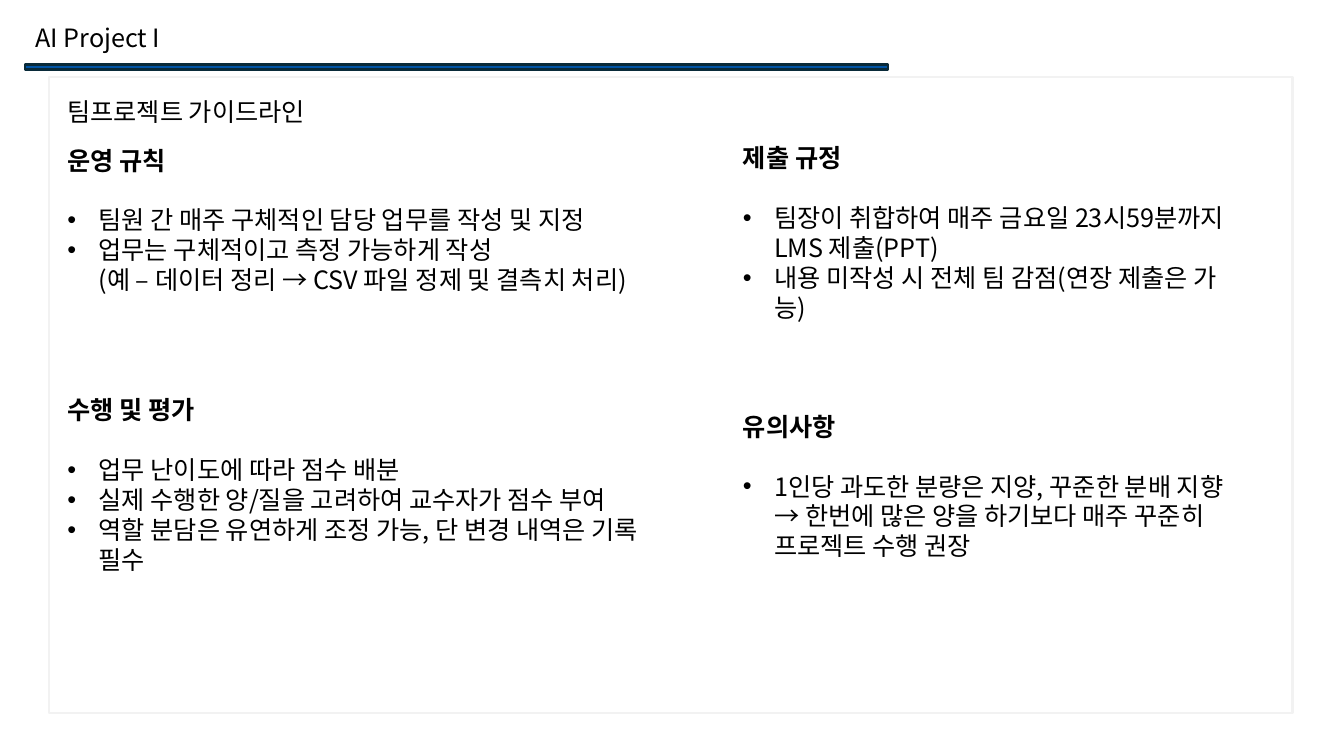
from dataclasses import dataclass

from pptx import Presentation
from pptx.dml.color import RGBColor
from pptx.enum import shapes, text
from pptx.oxml import xmlchemy
from pptx.util import Inches, Pt


@dataclass(frozen=True)
class Theme:
    font: str = "Noto Sans CJK KR"
    size: float = 18
    line_pitch: float = 21.4
    outline: float = 1.5
    ink: str = "000000"
    frame: str = "F2F2F2"
    bar: str = "0054A6"
    bar_edge: str = "092A39"


THEME = Theme()
INDENT = Inches(0.31)
LEFT, RIGHT = (0.57, 5.87), (7.27, 5.15)

SECTIONS = [
    (LEFT, 1.39, 2.22, "운영 규칙", [
        "팀원 간 매주 구체적인 담당 업무를 작성 및 지정",
        "업무는 구체적이고 측정 가능하게 작성\n(예 – 데이터 정리 → CSV 파일 정제 및 결측치 처리)",
    ]),
    (LEFT, 3.87, 2.22, "수행 및 평가", [
        "업무 난이도에 따라 점수 배분",
        "실제 수행한 양/질을 고려하여 교수자가 점수 부여",
        "역할 분담은 유연하게 조정 가능, 단 변경 내역은 기록 필수",
    ]),
    (RIGHT, 1.37, 1.92, "제출 규정", [
        "팀장이 취합하여 매주 금요일 23시59분까지 LMS 제출(PPT)",
        "내용 미작성 시 전체 팀 감점(연장 제출은 가능)",
    ]),
    (RIGHT, 4.03, 1.92, "유의사항", [
        "1인당 과도한 분량은 지양, 꾸준한 분배 지향 → 한번에 많은 양을 하기보다 매주 꾸준히 프로젝트 수행 권장",
    ]),
]


def color(value):
    return RGBColor.from_string(value)


def add_rect(page, at, edge, fill=None):
    rect = page.shapes.add_shape(shapes.MSO_SHAPE.RECTANGLE, *map(Inches, at))
    rect.shadow.inherit = False
    if fill:
        rect.fill.solid()
        rect.fill.fore_color.rgb = color(fill)
    else:
        rect.fill.background()
    rect.line.color.rgb = color(edge)
    rect.line.width = Pt(THEME.outline)


def prepare(box, at):
    box.left, box.top, box.width, box.height = map(Inches, at)
    frame = box.text_frame
    frame.word_wrap = True
    frame.auto_size = text.MSO_AUTO_SIZE.SHAPE_TO_FIT_TEXT
    frame.vertical_anchor = text.MSO_ANCHOR.TOP
    frame.margin_left = frame.margin_right = Inches(0.1)
    frame.margin_top = frame.margin_bottom = Inches(0.05)
    return frame


def add_box(page, at):
    return prepare(page.shapes.add_textbox(*map(Inches, at)), at)


def write(para, words, bold=False):
    para.alignment = text.PP_ALIGN.LEFT
    para.line_spacing = Pt(THEME.line_pitch)
    para.space_before = para.space_after = Pt(0)
    for index, line in enumerate(words.split("\n")):
        if index:
            para.add_line_break()
        span = para.add_run()
        span.text = line
        span.font.name = THEME.font
        span.font.size = Pt(THEME.size)
        span.font.bold = bold
        span.font.color.rgb = color(THEME.ink)
        east_asian = xmlchemy.OxmlElement("a:ea")
        east_asian.set("typeface", THEME.font)
        span.font._element.find(".//" + xmlchemy.qn("a:latin")).addnext(east_asian)


def add_bullet(para):
    props = para._p.get_or_add_pPr()
    props.set("marL", str(INDENT))
    props.set("indent", str(-INDENT))
    for tag, name, value in (("a:buFont", "typeface", "Arial"), ("a:buChar", "char", "•")):
        mark = xmlchemy.OxmlElement(tag)
        mark.set(name, value)
        props.append(mark)


def add_section(page, column, top, height, heading, rules):
    left, width = column
    frame = add_box(page, (left, top, width, height))
    write(frame.paragraphs[0], heading, bold=True)
    for index, rule in enumerate(rules):
        para = frame.add_paragraph()
        add_bullet(para)
        write(para, rule)
        if index == 0:
            para.space_before = Pt(THEME.line_pitch)


def main():
    deck = Presentation()
    deck.slide_width, deck.slide_height = Inches(13.33), Inches(7.5)
    page = deck.slides.add_slide(deck.slide_layouts[5])
    add_rect(page, (0.49, 0.76, 12.33, 6.31), THEME.frame)
    add_rect(page, (0.25, 0.64, 8.56, 0.05), THEME.bar_edge, THEME.bar)
    title = prepare(page.shapes.title, (0.25, 0.17, 6.67, 0.4))
    write(title.paragraphs[0], "AI Project I")
    subtitle = add_box(page, (0.57, 0.91, 3.41, 0.4))
    write(subtitle.paragraphs[0], "팀프로젝트 가이드라인")
    for section in SECTIONS:
        add_section(page, *section)
    deck.save("out.pptx")


if __name__ == "__main__":
    main()
